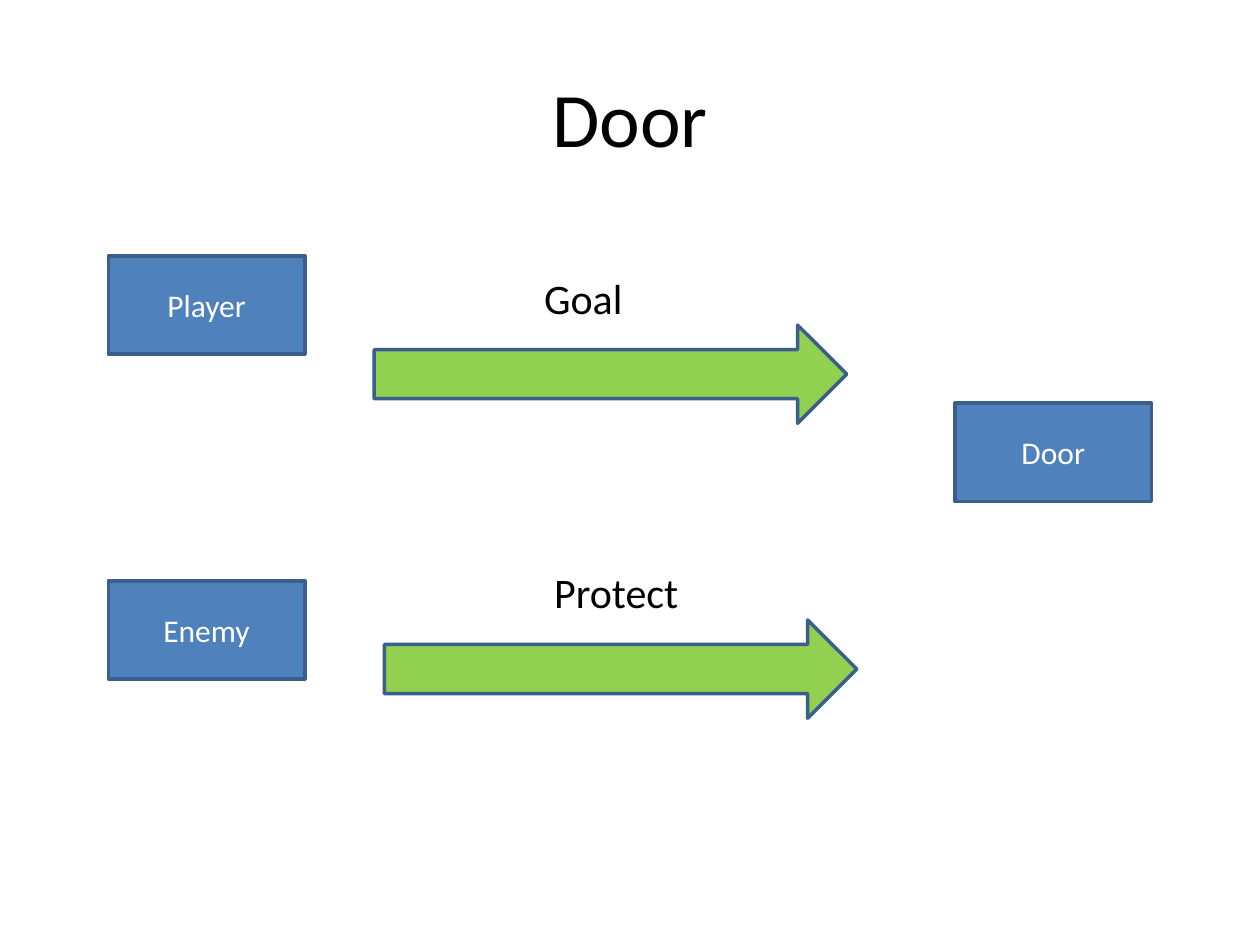
from pptx import Presentation
from pptx.dml.color import RGBColor
from pptx.enum.shapes import MSO_SHAPE
from pptx.enum.text import MSO_ANCHOR, MSO_AUTO_SIZE, PP_ALIGN
from pptx.util import Inches, Pt

BLUE, GREEN, OUTLINE = "4F81BD", "92D050", "3A5F8C"
BLACK, WHITE = "000000", "FFFFFF"
ROLE_SIZE = (1.56, 0.78)
ARROW_SIZE = (3.75, 0.78)


def color(value):
    """Return the colour for a hex string."""
    return RGBColor.from_string(value)


def write(shape, text, size, ink, align, frame_format):
    """Put one formatted line of text into a shape."""
    frame = shape.text_frame
    frame.text = text
    for name, value in frame_format.items():
        setattr(frame, name, value)
    para = frame.paragraphs[0]
    para.alignment = align
    for name, value in {"name": "Calibri", "size": Pt(size)}.items():
        setattr(para.font, name, value)
    para.font.color.rgb = color(ink)


def place_title(page, text):
    """Fill and place the title placeholder."""
    title = page.shapes.title
    bounds = {"left": 0.5, "top": 0.3, "width": 9, "height": 1.25}
    for name, value in bounds.items():
        setattr(title, name, Inches(value))
    write(title, text, 44, BLACK, PP_ALIGN.CENTER,
          {"vertical_anchor": MSO_ANCHOR.MIDDLE, "word_wrap": True})


def add_outlined(page, kind, left, top, size, fill):
    """Add a filled preset shape with the shared outline."""
    shape = page.shapes.add_shape(
        kind, *(Inches(value) for value in (left, top, *size)))
    shape.shadow.inherit = False
    shape.fill.solid()
    shape.fill.fore_color.rgb = color(fill)
    shape.line.color.rgb = color(OUTLINE)
    shape.line.width = Pt(2)
    return shape


def add_role(page, text, left, top):
    """Add a blue box that names a role."""
    box = add_outlined(page, MSO_SHAPE.RECTANGLE, left, top, ROLE_SIZE, BLUE)
    write(box, text, 18, WHITE, PP_ALIGN.CENTER,
          {"vertical_anchor": MSO_ANCHOR.MIDDLE, "word_wrap": True})


def add_label(page, text, left, top, width):
    """Add a one-line label above an arrow."""
    box = page.shapes.add_textbox(
        *(Inches(value) for value in (left, top, width, 0.5)))
    write(box, text, 24, BLACK, PP_ALIGN.LEFT,
          {"word_wrap": False, "auto_size": MSO_AUTO_SIZE.SHAPE_TO_FIT_TEXT})


def main():
    """Build the door slide."""
    deck = Presentation()
    deck.slide_width, deck.slide_height = Inches(10), Inches(7.5)
    page = deck.slides.add_slide(deck.slide_layouts[5])
    place_title(page, "Door")
    for text, left, top in (("Player", 0.86, 2.03), ("Door", 7.58, 3.2),
                            ("Enemy", 0.86, 4.61)):
        add_role(page, text, left, top)
    for text, left, top, width in (("Goal", 4.22, 2.11, 0.83),
                                   ("Protect", 4.3, 4.45, 1.2)):
        add_label(page, text, left, top, width)
        add_outlined(page, MSO_SHAPE.RIGHT_ARROW, left - 1.25, top + 0.47,
                     ARROW_SIZE, GREEN)
    deck.save("out.pptx")


if __name__ == "__main__":
    main()
